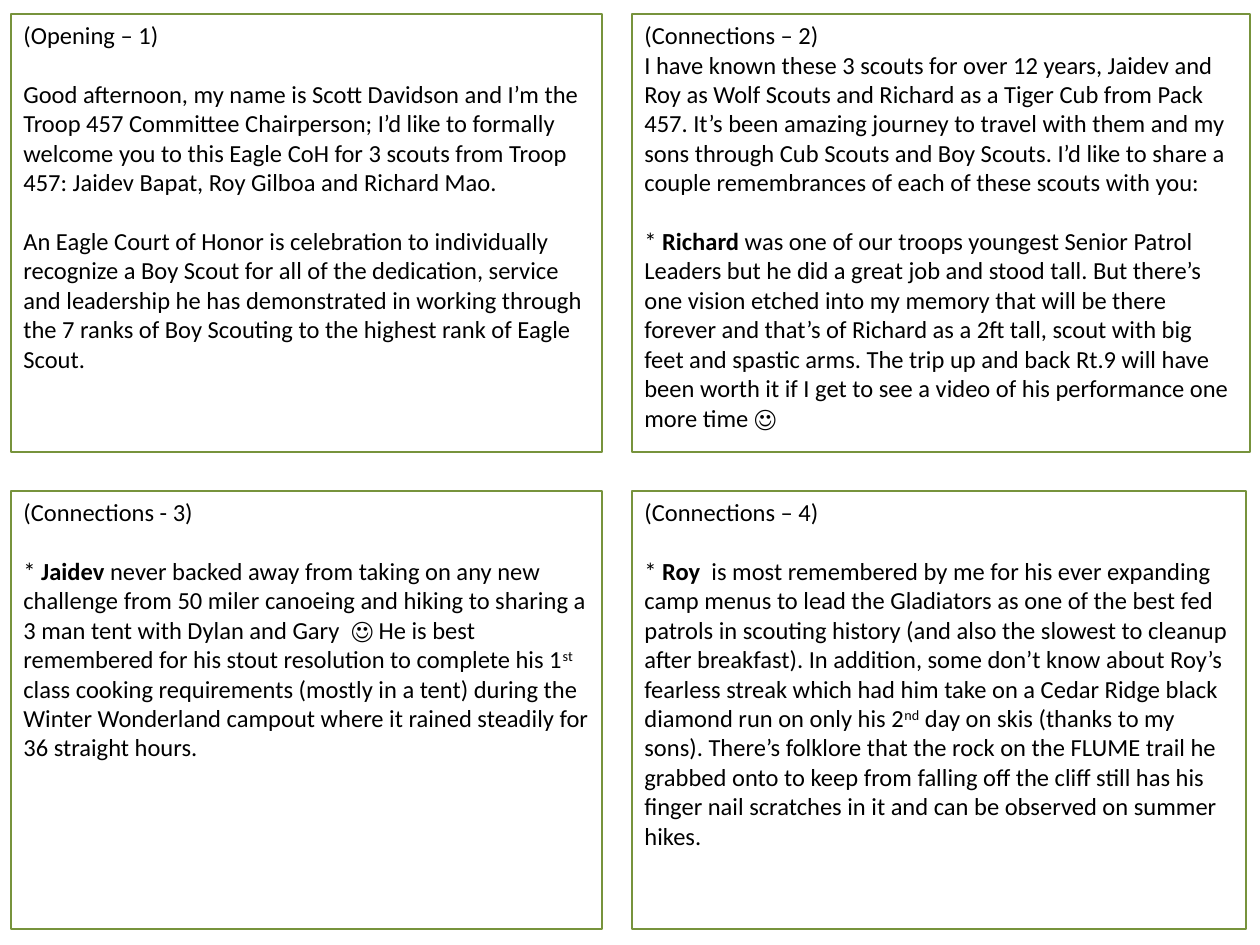
from dataclasses import dataclass
from enum import Enum

from pptx import Presentation
from pptx.dml.color import RGBColor
from pptx.enum.shapes import MSO_SHAPE as Shape
from pptx.enum.text import MSO_ANCHOR as Anchor, PP_ALIGN as Align
from pptx.util import Emu, Pt

PX = 914400 / 126


@dataclass(frozen=True)
class Theme:
    """Colours and type of the cue cards."""
    font: str = "Calibri"
    size: float = 14
    gap: float = 16.8
    ink: RGBColor = RGBColor(0x00, 0x00, 0x00)
    border: RGBColor = RGBColor(0x77, 0x93, 0x3C)
    border_width: float = 0.75


class Style(Enum):
    """Looks a run can have."""
    PLAIN = "plain"
    BOLD = "bold"
    RAISED = "raised"


@dataclass(frozen=True)
class Run:
    """A stretch of text in one style."""
    text: str
    style: Style = Style.PLAIN


@dataclass(frozen=True)
class Para:
    """A paragraph, set off by one line unless told otherwise."""
    runs: tuple[Run, ...]
    spaced: bool = True


@dataclass(frozen=True)
class Card:
    """A cue card in the two by two grid; width is in pixels."""
    row: int
    col: int
    width: int
    heading: str
    paras: tuple[Para, ...]


THEME = Theme()
LEFTS = (11, 632)
TOPS = (14, 491)
CARD_HEIGHT = 438

CARDS = (
    Card(0, 0, 591, "(Opening – 1)", (
        Para((Run(
            "Good afternoon, my name is Scott Davidson and I’m the Troop 457 "
            "Committee Chairperson; I’d like to formally welcome you to this "
            "Eagle CoH for 3 scouts from Troop 457: Jaidev Bapat, Roy Gilboa "
            "and Richard Mao."),)),
        Para((Run(
            "An Eagle Court of Honor is celebration to individually recognize "
            "a Boy Scout for all of the dedication, service and leadership he "
            "has demonstrated in working through the 7 ranks of Boy Scouting "
            "to the highest rank of Eagle Scout."),)),
    )),
    Card(0, 1, 618, "(Connections – 2)", (
        Para((Run(
            "I have known these 3 scouts for over 12 years, Jaidev and Roy as "
            "Wolf Scouts and Richard as a Tiger Cub from Pack 457. It’s been "
            "amazing journey to travel with them and my sons through Cub "
            "Scouts and Boy Scouts. I’d like to share a couple remembrances "
            "of each of these scouts with you:"),), spaced=False),
        Para((
            Run("* "),
            Run("Richard", Style.BOLD),
            Run(" was one of our troops youngest Senior Patrol Leaders but he "
                "did a great job and stood tall. But there’s one vision etched "
                "into my memory that will be there forever and that’s of "
                "Richard as a 2ft tall, scout with big feet and spastic arms. "
                "The trip up and back Rt.9 will have been worth it if I get to "
                "see a video of his performance one more time ☺"),
        )),
    )),
    Card(1, 0, 591, "(Connections - 3)", (
        Para((
            Run("* "),
            Run("Jaidev ", Style.BOLD),
            Run("never backed away from taking on any new challenge from 50 "
                "miler canoeing and hiking to sharing a 3 man tent with Dylan "
                "and Gary  ☺ He is best remembered for his stout resolution "
                "to complete his 1"),
            Run("st", Style.RAISED),
            Run(" class cooking requirements (mostly in a tent) during the "
                "Winter Wonderland campout where it rained steadily for 36 "
                "straight hours."),
        )),
    )),
    Card(1, 1, 614, "(Connections – 4)", (
        Para((
            Run("* "),
            Run("Roy  ", Style.BOLD),
            Run("is most remembered by me for his ever expanding camp menus to "
                "lead the Gladiators as one of the best fed patrols in "
                "scouting history (and also the slowest to cleanup after "
                "breakfast). In addition, some don’t know about Roy’s fearless "
                "streak which had him take on a Cedar Ridge black diamond run "
                "on only his 2"),
            Run("nd", Style.RAISED),
            Run(" day on skis (thanks to my sons). There’s folklore that the "
                "rock on the FLUME trail he grabbed onto to keep from falling "
                "off the cliff still has his finger nail scratches in it and "
                "can be observed on summer hikes."),
        )),
    )),
)


def px(n: int) -> Emu:
    """Turn pixels into EMU."""
    return Emu(round(n * PX))


def add_run(p, run: Run) -> None:
    """Append one styled run to a paragraph."""
    r = p.add_run()
    r.text = run.text
    r.font.name = THEME.font
    r.font.size = Pt(THEME.size)
    r.font.color.rgb = THEME.ink
    if run.style is Style.BOLD:
        r.font.bold = True
    elif run.style is Style.RAISED:
        r._r.get_or_add_rPr().set("baseline", "30000")


def add_card(s, card: Card) -> None:
    """Draw a bordered card with its heading and paragraphs."""
    sp = s.shapes.add_shape(Shape.RECTANGLE, px(LEFTS[card.col]),
                            px(TOPS[card.row]), px(card.width), px(CARD_HEIGHT))
    sp.name = f"Card {2 * card.row + card.col + 1}"
    sp.shadow.inherit = False
    sp.fill.background()
    sp.line.color.rgb = THEME.border
    sp.line.width = Pt(THEME.border_width)
    tf = sp.text_frame
    tf.word_wrap = True
    tf.vertical_anchor = Anchor.TOP
    heading = Para((Run(card.heading),), spaced=False)
    for i, para in enumerate((heading, *card.paras)):
        p = tf.add_paragraph() if i else tf.paragraphs[0]
        p.alignment = Align.LEFT
        p.space_before = Pt(THEME.gap if para.spaced else 0)
        for run in para.runs:
            add_run(p, run)


def main() -> None:
    """Build the slide and save it."""
    prs = Presentation()
    prs.slide_width, prs.slide_height = px(1260), px(945)
    s = prs.slides.add_slide(prs.slide_layouts[6])
    for card in CARDS:
        add_card(s, card)
    prs.save("out.pptx")


main()
